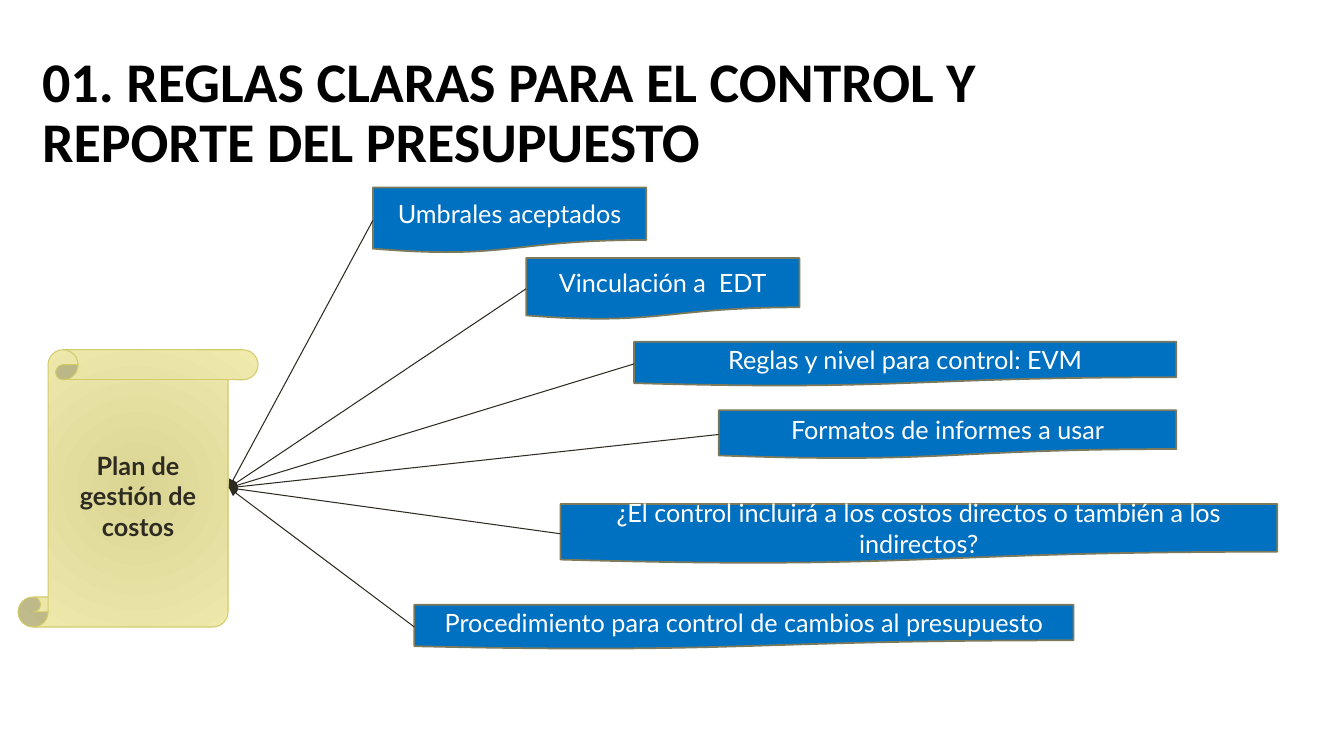
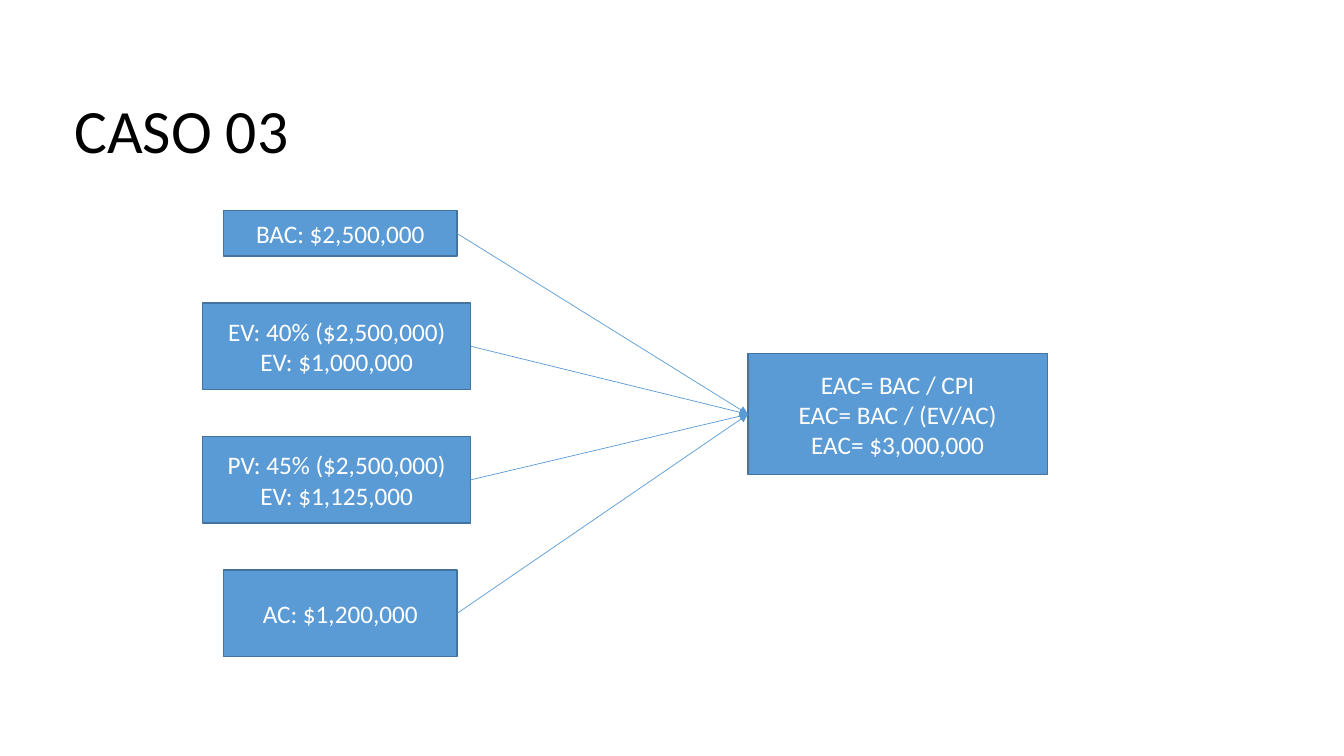
"""Two slides on budget control: reporting rules and an EAC case."""
from pptx import Presentation, util as u
from pptx.dml.color import RGBColor
from pptx.enum import shapes, text
from pptx.oxml import parse_xml
from pptx.oxml.ns import nsdecls, qn

W, H = 13.33, 7.5
SHAPE = shapes.MSO_SHAPE
BLACK, WHITE = "000000", "FFFFFF"
INK, BLUE, OLIVE = "2E2B21", "0070C0", "7D7A5C"
SKY, STEEL = "5B9BD5", "43739E"
TITLE = dict(name="Calibri", size=u.Pt(44), bold=False)
LATO = dict(name="Lato", size=u.Pt(18))
CALIBRI = dict(name="Calibri", size=u.Pt(18))

RULES = [
    ("Umbrales aceptados", (27.75, 24.8, 20.33, 8.67)),
    ("Vinculación a  EDT", (39.15, 34.13, 20.33, 8.13)),
    ("Reglas y nivel para control: EVM", (47.18, 45.2, 40.35, 5.87)),
    ("Formatos de informes a usar", (53.48, 54.27, 34.05, 6.4)),
    ("¿El control incluirá a los costos directos o también a los indirectos?",
     (41.7, 66.67, 53.33, 7.87)),
    ("Procedimiento para control de cambios al presupuesto",
     (30.83, 80, 49.05, 5.87)),
]
NARROW, WIDE = (16.65, 17.35), (15.08, 19.95)
INPUTS = [
    ("BAC: $2,500,000", NARROW, 6),
    ("EV: 40% ($2,500,000)\nEV: $1,000,000", WIDE, 11.47),
    ("PV: 45% ($2,500,000)\nEV: $1,125,000", WIDE, 11.47),
    ("AC: $1,200,000", NARROW, 11.47),
]
INPUT_TOP, INPUT_GAP = 27.87, 6.2


def rgb(value):
    """Return the colour for a hex string."""
    return RGBColor.from_string(value)


def place(*shares):
    """Turn alternating x and y percentages of the slide into lengths."""
    return [u.Inches((W, H)[i % 2] * v / 100) for i, v in enumerate(shares)]


def write(sp, content, color, font, align, spacing=None):
    """Fill a shape with one paragraph per line of content."""
    tf = sp.text_frame
    tf.word_wrap = True
    tf.vertical_anchor = text.MSO_ANCHOR.MIDDLE
    for i, line in enumerate(content.split("\n")):
        p = tf.add_paragraph() if i else tf.paragraphs[0]
        p.alignment = align
        p.line_spacing = spacing
        r = p.add_run()
        r.text = line
        r.font.color.rgb = rgb(color)
        for key, value in font.items():
            setattr(r.font, key, value)


def add_title(s, content, box, **changes):
    """Add the slide title."""
    sp = s.shapes.add_textbox(*place(*box))
    write(sp, content, BLACK, {**TITLE, **changes}, text.PP_ALIGN.LEFT, 0.9)


def add_box(s, kind, content, box, fill, line, font, color=WHITE):
    """Add a preset shape with centred text; line is a colour and a width."""
    sp = s.shapes.add_shape(kind, *place(*box))
    sp.shadow.inherit = False
    sp.fill.solid()
    sp.fill.fore_color.rgb = rgb(fill)
    sp.line.color.rgb = rgb(line[0])
    sp.line.width = u.Pt(line[1])
    write(sp, content, color, font, text.PP_ALIGN.CENTER)
    return sp


def radial(sp, *colors):
    """Give a shape a two-colour circular gradient."""
    sp.fill.gradient()
    for i, (stop, color) in enumerate(zip(sp.fill.gradient_stops, colors)):
        stop.position = i
        stop.color.rgb = rgb(color)
    lin = sp.element.spPr.find(".//" + qn("a:lin"))
    lin.getparent().replace(lin, parse_xml(
        f'<a:path {nsdecls("a")} path="circle"><a:fillToRect l="100000" '
        't="100000" r="100000" b="100000"/></a:path>'))


def add_arrow(s, start, site, end, color, width):
    """Draw an arrow from a shape's site to a point and return it."""
    c = s.shapes.add_connector(shapes.MSO_CONNECTOR.STRAIGHT, 0, 0, *end)
    c.begin_connect(start, site)
    c.line.color.rgb = rgb(color)
    c.line.width = u.Pt(width)
    c.line._get_or_add_ln().append(
        parse_xml(f'<a:tailEnd {nsdecls("a")} type="triangle"/>'))
    c.element.spPr.append(parse_xml(f'<a:effectLst {nsdecls("a")}/>'))
    return c


def rules_slide(s):
    """Build the rules that feed the cost management plan."""
    plan = add_box(s, SHAPE.VERTICAL_SCROLL, "Plan de gestión de costos",
                   (1.35, 46.27, 17.85, 36.67), "F0EAAD", ("D2CB6C", 0.75),
                   {**LATO, "bold": True}, INK)
    radial(plan, "DBD594", "F0EAAD")
    hub = place(17.03, 64.53)
    for content, box in RULES:
        rule = add_box(s, SHAPE.FLOWCHART_DOCUMENT, content, box, BLUE,
                       (OLIVE, 1.25), LATO)
        add_arrow(s, rule, 1, hub, INK, 0.75)
    add_title(s, "01. REGLAS CLARAS PARA EL CONTROL Y REPORTE DEL PRESUPUESTO",
              (2.4, 5.47, 74.48, 19.33), size=u.Pt(40), bold=True)


def case_slide(s):
    """Build the case that leads from four inputs to the EAC."""
    add_title(s, "CASO 03", (4.8, 10.27, 90.45, 14.8))
    look = dict(fill=SKY, line=(STEEL, 1), font=CALIBRI)
    eac = add_box(s, SHAPE.RECTANGLE,
                  "EAC= BAC / CPI\nEAC= BAC / (EV/AC)\nEAC= $3,000,000",
                  (55.65, 46.8, 22.28, 16), **look)
    top = INPUT_TOP
    for content, (left, width), height in INPUTS:
        sp = add_box(s, SHAPE.RECTANGLE, content, (left, top, width, height),
                     **look)
        arrow = add_arrow(s, sp, 3, (eac.left, eac.top), SKY, 0.5)
        arrow.end_connect(eac, 1)
        top += height + INPUT_GAP


def main():
    """Build and save the presentation."""
    prs = Presentation()
    prs.slide_width, prs.slide_height = u.Inches(W), u.Inches(H)
    for build in (rules_slide, case_slide):
        build(prs.slides.add_slide(prs.slide_layouts[6]))
    prs.save("out.pptx")


if __name__ == "__main__":
    main()
